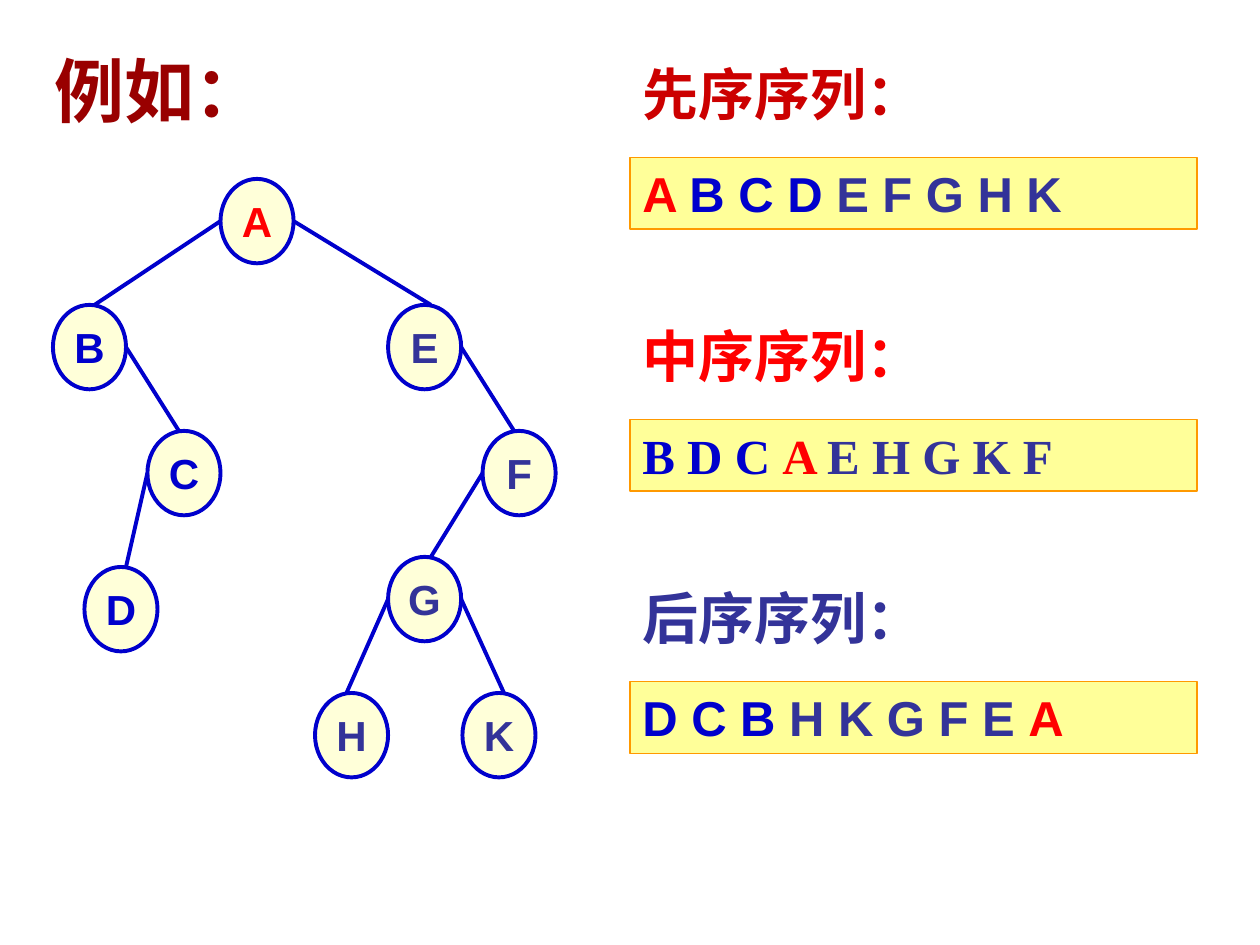
from lxml import etree
from pptx import Presentation
from pptx import util as u
from pptx.dml.color import RGBColor
from pptx.enum import shapes, text
from pptx.oxml.ns import qn

RED, BLUE, NAVY = "FF0000", "0000CC", "333399"
CJK = "Noto Sans CJK SC"

# name: (left, top, colour, parent, x where the parent's edge arrives)
NODES = {
    "A": (1.75, 1.42, RED, None, None),
    "B": (0.42, 2.42, BLUE, "A", 0.75),
    "C": (1.17, 3.42, BLUE, "B", 1.42),
    "D": (0.67, 4.5, BLUE, "C", 1),
    "E": (3.08, 2.42, NAVY, "A", 3.42),
    "F": (3.83, 3.42, NAVY, "E", 4.08),
    "G": (3.08, 4.42, NAVY, "F", 3.42),
    "H": (2.5, 5.5, NAVY, "G", 2.75),
    "K": (3.67, 5.5, NAVY, "G", 4),
}
NODE_W, NODE_H = 0.58, 0.67

# heading, its colour, font of the letters, coloured runs
ORDERS = [
    ("先序序列：", "CC0000", "Arial",
     [("A ", RED), ("B C D ", BLUE), ("E F G H K", NAVY)]),
    ("中序序列：", RED, "Times New Roman",
     [("B D C ", BLUE), ("A ", RED), ("E H G K F", NAVY)]),
    ("后序序列：", NAVY, "Arial",
     [("D C B", BLUE), (" H K G F E ", NAVY), ("A", RED)]),
]


def color(code):
    return RGBColor.from_string(code)


def inches(*sizes):
    return [u.Inches(size) for size in sizes]


def write(shape, runs, size, font="Arial", align=text.PP_ALIGN.LEFT,
          anchor=text.MSO_ANCHOR.TOP, wrap=True):
    """Fill a shape with one bold paragraph of (words, colour) runs."""
    frame = shape.text_frame
    frame.auto_size = text.MSO_AUTO_SIZE.NONE
    frame.word_wrap = wrap
    frame.vertical_anchor = anchor
    para = frame.paragraphs[0]
    para.alignment = align
    for words, code in runs:
        run = para.add_run()
        run.text = words
        run.font.size = u.Pt(size)
        run.font.bold = True
        run.font.name = font
        run.font.color.rgb = color(code)
        east = etree.SubElement(run.font._element, qn("a:ea"))
        east.set("typeface", CJK)


def paint(shape, fill, line, width):
    shape.shadow.inherit = False
    shape.fill.solid()
    shape.fill.fore_color.rgb = color(fill)
    shape.line.color.rgb = color(line)
    shape.line.width = u.Pt(width)


def add_node(group, name, left, top, code):
    node = group.shapes.add_shape(
        shapes.MSO_SHAPE.OVAL, *inches(left, top, NODE_W, NODE_H))
    paint(node, "FFFFD9", BLUE, 2.25)
    write(node, [(name, code)], 24, align=text.PP_ALIGN.CENTER,
          anchor=text.MSO_ANCHOR.MIDDLE, wrap=False)


def add_edge(group, start, end):
    edge = group.shapes.add_connector(
        shapes.MSO_CONNECTOR.STRAIGHT, *inches(*start, *end))
    edge.line.color.rgb = color(BLUE)
    edge.line.width = u.Pt(2.25)
    etree.SubElement(edge._element.spPr, qn("a:effectLst"))


def add_tree(slide, left, top):
    """Draw the nodes, then join each parent's side to its child's top."""
    group = slide.shapes.add_group_shape()
    for name, (x, y, code, _, _) in NODES.items():
        add_node(group, name, left + x, top + y, code)
    for x, y, _, parent, tip in NODES.values():
        if parent:
            px, py = NODES[parent][:2]
            side = px + NODE_W if x > px else px
            # G hangs to the left of F, as do B, D and H of their parents
            add_edge(group, (left + side, top + py + NODE_H / 2),
                     (left + tip, top + y))


def add_order(slide, left, top, order):
    """Place a heading with the boxed sequence below it."""
    title, code, font, runs = order
    head = slide.shapes.add_textbox(*inches(left, top, 2.83, 0.64))
    write(head, [(title, code)], 32)
    box = slide.shapes.add_shape(
        shapes.MSO_SHAPE.RECTANGLE, *inches(left, top + 0.83, 4.5, 0.57))
    paint(box, "FFFF99", "FF9900", 1)
    write(box, runs, 28, font)


def add_title(slide, left, top):
    title = slide.shapes.title
    title.left, title.top, title.width, title.height = inches(
        left, top, 1.67, 0.77)
    write(title, [("例如：", "990000")], 40, CJK)


def main():
    deck = Presentation()
    deck.slide_width, deck.slide_height = inches(10, 7.5)
    slide = deck.slides.add_slide(deck.slide_layouts[5])
    add_title(slide, 0.33, 0.33)
    add_tree(slide, 0, 0)
    for i, order in enumerate(ORDERS):
        add_order(slide, 5, 0.42 + i * 2.08, order)
    deck.save("out.pptx")


if __name__ == "__main__":
    main()
